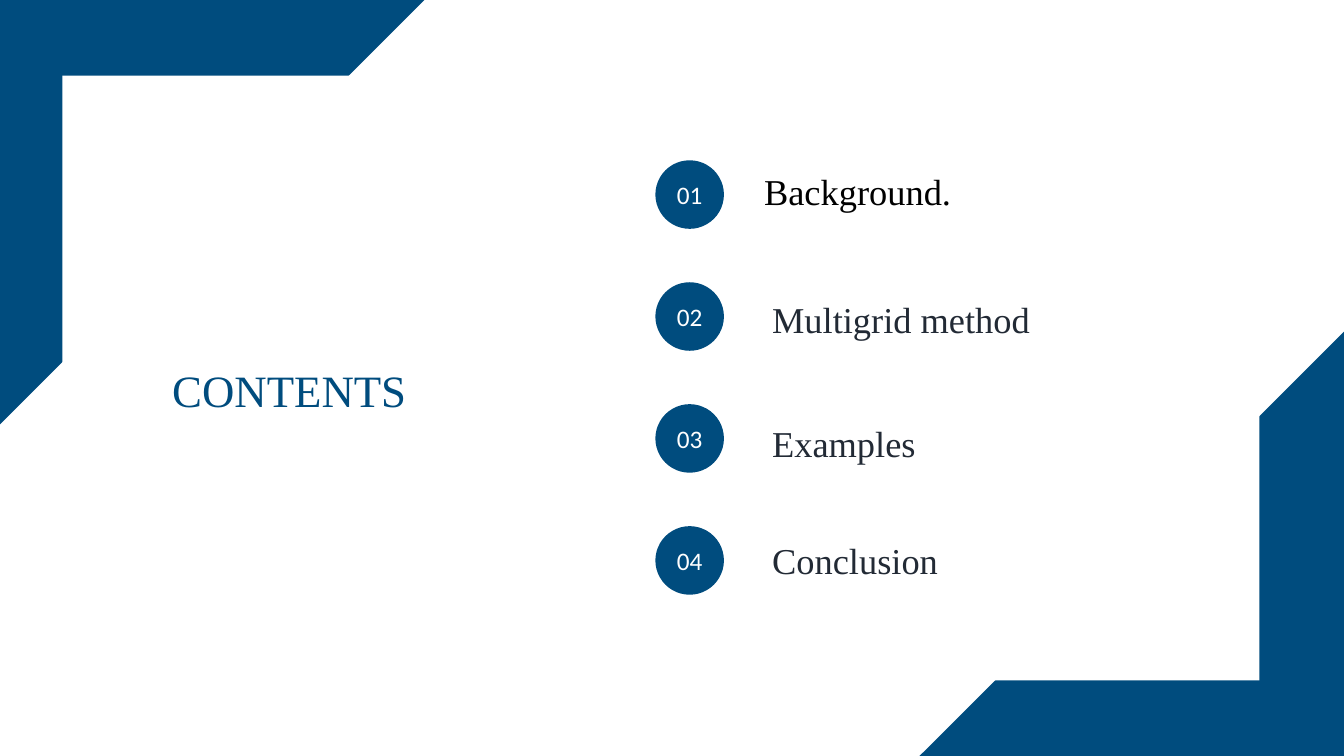
from dataclasses import dataclass

import pptx
import pptx.dml.color
import pptx.enum.shapes
import pptx.enum.text
import pptx.shapes.autoshape
import pptx.slide
import pptx.util

Inches = pptx.util.Inches
RGBColor = pptx.dml.color.RGBColor
Preset = pptx.enum.shapes.MSO_SHAPE
Align = pptx.enum.text.PP_ALIGN

BLUE = RGBColor(0x00, 0x4C, 0x7E)
WHITE = RGBColor(0xFF, 0xFF, 0xFF)
BLACK = RGBColor(0x00, 0x00, 0x00)
SLATE = RGBColor(0x22, 0x2A, 0x35)

SERIF = "Times New Roman"
SANS = "Calibri"

SLIDE_WIDTH, SLIDE_HEIGHT = 13.33, 7.5
CORNER_SIZE = 4.21
BADGE_LEFT, BADGE_TOP, BADGE_SIZE = 6.5, 1.59, 0.68
BADGE_PITCH = 1.21
NUMBER_HEIGHT = 0.4
TOPIC_HEIGHT = 0.54


@dataclass(frozen=True)
class Box:
    left: float
    top: float
    width: float
    height: float

    def lengths(self) -> tuple[int, int, int, int]:
        return Inches(self.left), Inches(self.top), Inches(self.width), Inches(self.height)


@dataclass(frozen=True)
class Style:
    font: str
    size: int
    color: RGBColor
    align: Align = Align.LEFT


@dataclass(frozen=True)
class Topic:
    title: str
    left: float
    top: float
    width: float
    color: RGBColor = SLATE


TOPICS = (
    Topic("Background.", 7.48, 1.63, 4.9, BLACK),
    Topic("Multigrid method", 7.56, 2.9, 4.43),
    Topic("Examples", 7.56, 4.13, 3.13),
    Topic("Conclusion", 7.56, 5.29, 3.42),
)


def add_solid(
    slide: pptx.slide.Slide, preset: Preset, box: Box, color: RGBColor
) -> pptx.shapes.autoshape.Shape:
    solid = slide.shapes.add_shape(preset, *box.lengths())
    solid.shadow.inherit = False
    solid.fill.solid()
    solid.fill.fore_color.rgb = color
    solid.line.fill.background()
    return solid


def add_corner(slide: pptx.slide.Slide, left: float, top: float, flip: str) -> None:
    box = Box(left, top, CORNER_SIZE, CORNER_SIZE)
    corner = add_solid(slide, Preset.RIGHT_TRIANGLE, box, BLUE)
    corner.element.spPr.xfrm.set(flip, "1")


def add_label(slide: pptx.slide.Slide, text: str, box: Box, style: Style) -> None:
    frame = slide.shapes.add_textbox(*box.lengths()).text_frame
    frame.word_wrap = True
    frame.auto_size = pptx.enum.text.MSO_AUTO_SIZE.SHAPE_TO_FIT_TEXT
    paragraph = frame.paragraphs[0]
    paragraph.alignment = style.align
    run = paragraph.add_run()
    run.text = text
    run.font.name = style.font
    run.font.size = pptx.util.Pt(style.size)
    run.font.color.rgb = style.color


def main() -> None:
    presentation = pptx.Presentation()
    presentation.slide_width = Inches(SLIDE_WIDTH)
    presentation.slide_height = Inches(SLIDE_HEIGHT)
    slide = presentation.slides.add_slide(presentation.slide_layouts[6])

    add_corner(slide, 0, 0, "flipV")
    add_corner(slide, SLIDE_WIDTH - CORNER_SIZE, SLIDE_HEIGHT - CORNER_SIZE, "flipH")
    add_solid(slide, Preset.RECTANGLE, Box(0.62, 0.75, 11.87, 6), WHITE)
    add_label(
        slide, "CONTENTS", Box(1.61, 3.55, 2.94, 0.64), Style(SERIF, 32, BLUE, Align.JUSTIFY)
    )

    badges = [
        Box(BADGE_LEFT, BADGE_TOP + row * BADGE_PITCH, BADGE_SIZE, BADGE_SIZE)
        for row in range(len(TOPICS))
    ]
    for badge in badges:
        add_solid(slide, Preset.OVAL, badge, BLUE)

    number_style = Style(SANS, 18, WHITE, Align.CENTER)
    for number, badge in enumerate(badges, start=1):
        number_top = badge.top + (BADGE_SIZE - NUMBER_HEIGHT) / 2
        number_box = Box(badge.left, number_top, BADGE_SIZE, NUMBER_HEIGHT)
        add_label(slide, f"{number:02d}", number_box, number_style)

    for topic in TOPICS:
        topic_box = Box(topic.left, topic.top, topic.width, TOPIC_HEIGHT)
        add_label(slide, topic.title, topic_box, Style(SERIF, 26, topic.color))

    presentation.save("out.pptx")


if __name__ == "__main__":
    main()
